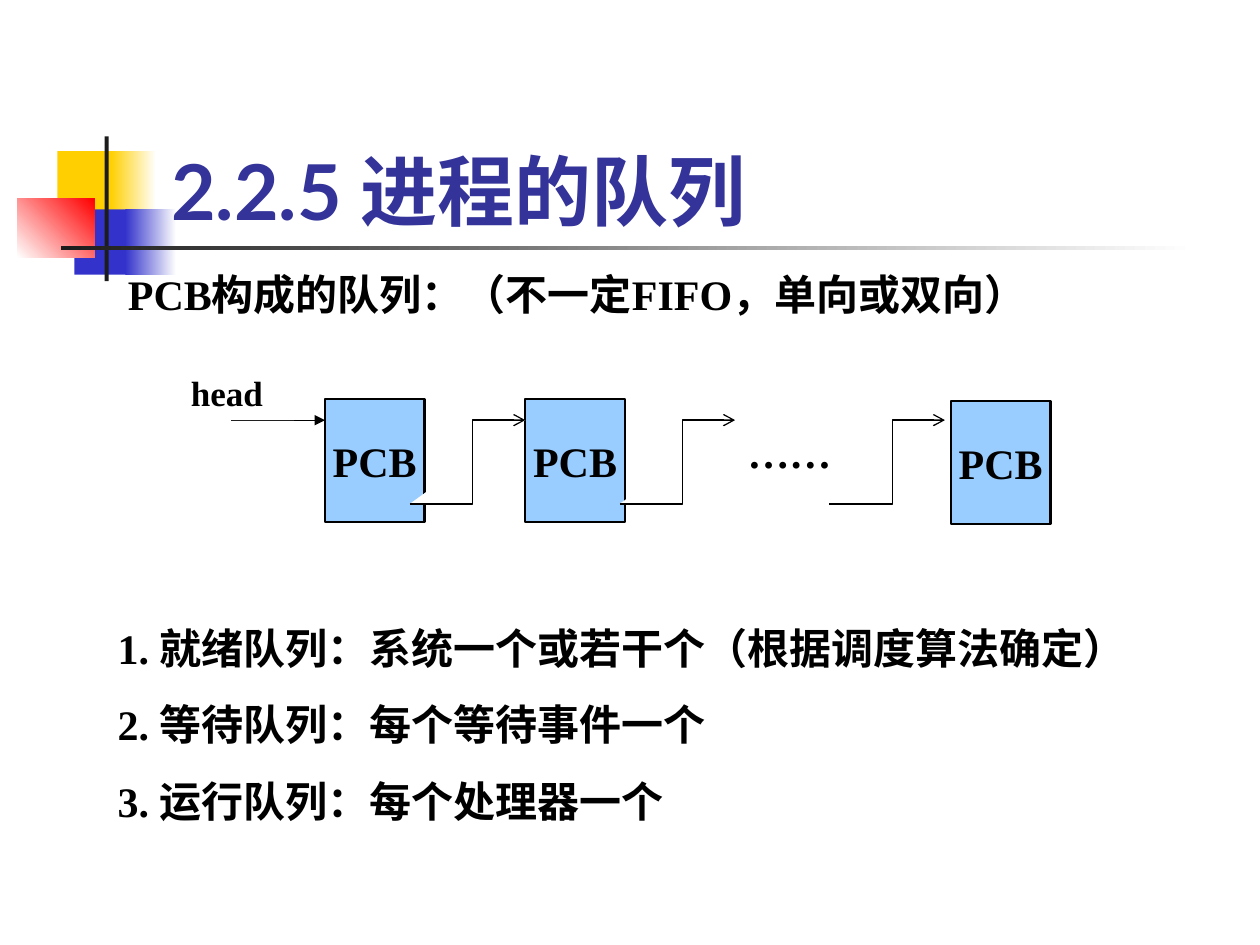
from dataclasses import dataclass
from typing import Optional

import pptx
import pptx.dml.color
import pptx.enum.shapes
import pptx.enum.text
import pptx.oxml
import pptx.oxml.ns
import pptx.util
from pptx.util import Cm, Pt

ANCHOR = pptx.enum.text.MSO_ANCHOR
ALIGN = pptx.enum.text.PP_ALIGN
RECTANGLE = pptx.enum.shapes.MSO_SHAPE.RECTANGLE

BLACK, WHITE, PALE_BLUE, TITLE_BLUE = "000000", "FFFFFF", "99CCFF", "333399"
BODY_FONT, TITLE_FONT = "Times New Roman", "Lato"


@dataclass
class Area:
    """Position and size in centimetres."""
    left: float
    top: float
    width: float
    height: float

    def lengths(self) -> list:
        return [Cm(v) for v in (self.left, self.top, self.width, self.height)]


@dataclass
class Ornament:
    area: Area
    color: str
    fade_to: Optional[str] = None
    angle: float = 0


ORNAMENTS = [
    Ornament(Area(1.16, 3.05, 1.22, 1.32), "FFCF01"),
    Ornament(Area(2.23, 3.05, 0.92, 1.32), "FFCF01", WHITE),
    Ornament(Area(1.5, 4.22, 1.17, 1.32), "3333CC"),
    Ornament(Area(2.53, 4.22, 1.02, 1.32), "3333CC", WHITE),
    Ornament(Area(0.35, 4.01, 1.56, 1.18), WHITE, "FF0000", 45),
    Ornament(Area(2.11, 2.75, 0.08, 2.92), "1C1C1C"),
    Ornament(Area(1.23, 4.95, 22.86, 0.09), "1C1C1C", WHITE),
]

PCB_BOXES = [Area(left, top, 2.01, 2.48)
             for left, top in ((6.55, 8.04), (10.59, 8.04), (19.17, 8.08))]

LINK_LEFT, LINK_STEP, LINK_COUNT = 8.26, 4.23, 3
LINK_TOP, LINK_BOTTOM = 8.47, 10.16
LINK_BEND, LINK_LENGTH = 1.27, 2.33

QUEUES = [
    "1. 就绪队列：系统一个或若干个（根据调度算法确定）",
    "2. 等待队列：每个等待事件一个",
    "3. 运行队列：每个处理器一个",
]


def rgb(color: str) -> pptx.dml.color.RGBColor:
    return pptx.dml.color.RGBColor.from_string(color)


def write(shape, *lines: str, font: str = BODY_FONT, size: float = 24,
          color: str = BLACK, align=ALIGN.LEFT, anchor=ANCHOR.TOP,
          wrap: bool = True, gap: float = 0) -> None:
    frame = shape.text_frame
    frame.auto_size = pptx.enum.text.MSO_AUTO_SIZE.NONE
    frame.word_wrap = wrap
    frame.vertical_anchor = anchor
    for index, line in enumerate(lines):
        paragraph = frame.add_paragraph() if index else frame.paragraphs[0]
        paragraph.text = line
        paragraph.alignment = align
        if index:
            paragraph.space_before = Pt(gap)
        paragraph.font.name = font
        paragraph.font.size = Pt(size)
        paragraph.font.bold = True
        paragraph.font.color.rgb = rgb(color)


def add_rectangle(slide, area: Area, fill: str, outline: Optional[str] = None):
    shape = slide.shapes.add_shape(RECTANGLE, *area.lengths())
    shape.shadow.inherit = False
    shape.fill.solid()
    shape.fill.fore_color.rgb = rgb(fill)
    if outline:
        shape.line.color.rgb = rgb(outline)
        shape.line.width = Pt(1.25)
    else:
        shape.line.fill.background()
    return shape


def add_ornament(slide, ornament: Ornament) -> None:
    shape = add_rectangle(slide, ornament.area, ornament.color)
    if ornament.fade_to:
        shape.fill.gradient()
        shape.fill.gradient_angle = ornament.angle
        for stop, color in zip(shape.fill.gradient_stops,
                               (ornament.color, ornament.fade_to)):
            stop.color.rgb = rgb(color)


def style_arrow(line, head: str) -> None:
    line.color.rgb = rgb(BLACK)
    line.width = Pt(0.75)
    tail = pptx.oxml.parse_xml(
        f'<a:tailEnd {pptx.oxml.ns.nsdecls("a")} type="{head}"/>')
    line._get_or_add_ln().append(tail)


def add_head_arrow(slide) -> None:
    arrow = slide.shapes.add_connector(
        pptx.enum.shapes.MSO_CONNECTOR.STRAIGHT,
        Cm(4.66), Cm(LINK_TOP), Cm(PCB_BOXES[0].left), Cm(LINK_TOP))
    style_arrow(arrow.line, "triangle")
    arrow._element.spPr.append(pptx.oxml.parse_xml(
        f'<a:effectLst {pptx.oxml.ns.nsdecls("a")}/>'))


def add_link(slide, left: float) -> None:
    """Draw the stepped arrow that leads from one PCB to the next."""
    bend = Cm(left + LINK_BEND)
    builder = slide.shapes.build_freeform(Cm(left), Cm(LINK_BOTTOM))
    builder.add_line_segments(
        [(bend, Cm(LINK_BOTTOM)), (bend, Cm(LINK_TOP)),
         (Cm(left + LINK_LENGTH), Cm(LINK_TOP))], close=False)
    link = builder.convert_to_shape()
    link.shadow.inherit = False
    link.fill.solid()
    link.fill.fore_color.rgb = rgb(WHITE)
    style_arrow(link.line, "arrow")


def add_title(slide) -> None:
    title = slide.shapes.title
    title.left, title.top, title.width, title.height = Area(
        3.2, 1.7, 21.64, 3.18).lengths()
    write(title, "2.2.5 进程的队列", font=TITLE_FONT, size=44,
          color=TITLE_BLUE, anchor=ANCHOR.BOTTOM)
    # Keep the title in front of the ornaments.
    slide.shapes._spTree.append(title._element)


def add_queue_diagram(slide) -> None:
    for area in PCB_BOXES:
        write(add_rectangle(slide, area, PALE_BLUE, BLACK), "PCB",
              align=ALIGN.CENTER, anchor=ANCHOR.MIDDLE, wrap=False)
    add_head_arrow(slide)
    for index in range(LINK_COUNT):
        add_link(slide, LINK_LEFT + index * LINK_STEP)
    write(add_rectangle(slide, Area(14.82, 8.47, 2.75, 1.28), WHITE), "……")
    write(add_rectangle(slide, Area(3.6, 7.36, 2.33, 1.11), WHITE), "head",
          size=20)


def main() -> None:
    presentation = pptx.Presentation()
    presentation.slide_width, presentation.slide_height = Cm(25.4), Cm(19.05)
    slide = presentation.slides.add_slide(presentation.slide_layouts[5])
    for ornament in ORNAMENTS:
        add_ornament(slide, ornament)
    add_title(slide)
    add_queue_diagram(slide)
    queue_list = slide.shapes.add_textbox(*Area(2.12, 12.42, 20.96, 5.38).lengths())
    write(queue_list, *QUEUES, gap=15)
    summary = slide.shapes.add_textbox(*Area(2.33, 5.29, 19.79, 1.28).lengths())
    write(summary, "PCB构成的队列：（不一定FIFO，单向或双向）")
    presentation.save("out.pptx")


if __name__ == "__main__":
    main()
